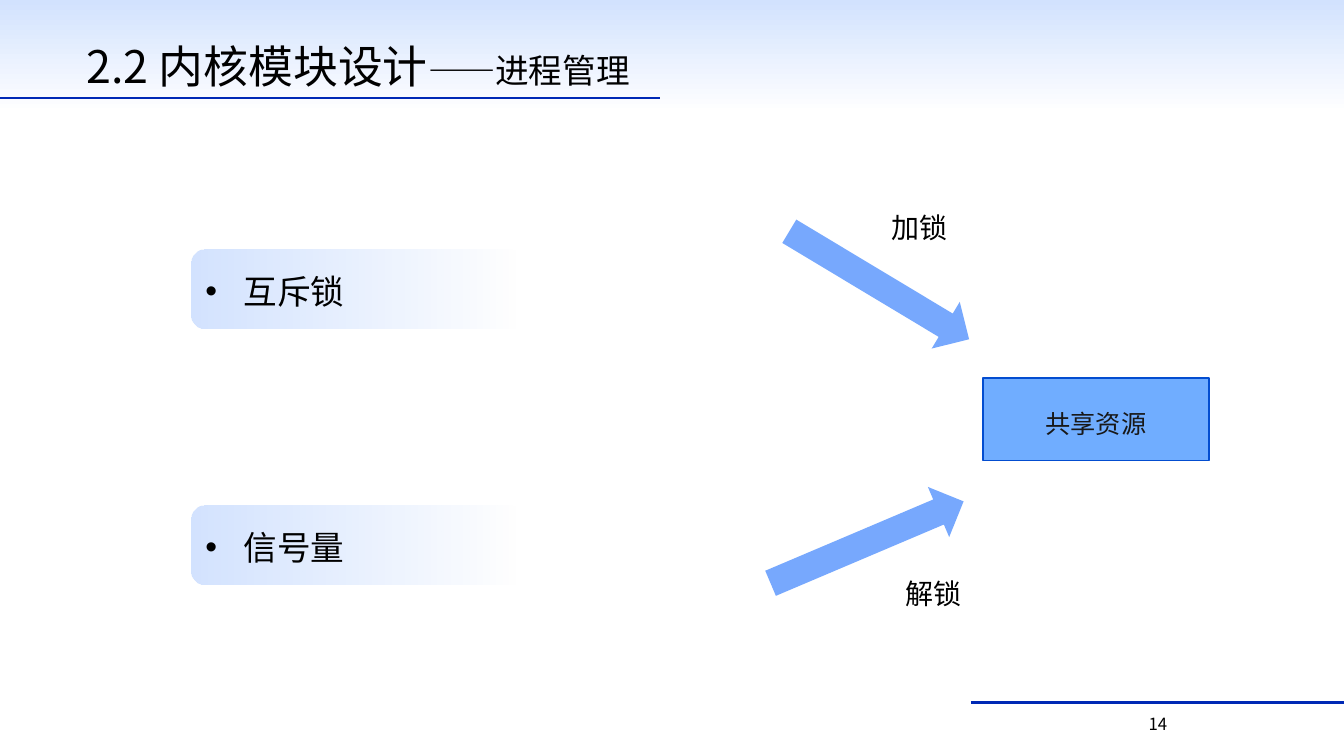
"""Build the kernel module slide on process management."""
from dataclasses import dataclass

from lxml.etree import SubElement
from pptx import Presentation
from pptx.dml.color import RGBColor
from pptx.dml.fill import FillFormat
from pptx.enum.shapes import MSO_CONNECTOR, MSO_SHAPE
from pptx.enum.text import MSO_ANCHOR, PP_ALIGN
from pptx.oxml.ns import qn
from pptx.shapes.autoshape import Shape
from pptx.slide import Slide
from pptx.text.text import _Paragraph
from pptx.util import Inches, Pt

CHINESE_FONT = "Noto Sans CJK SC"
LABEL_FONT = "Noto Sans CJK JP"
RULE_BLUE = "0029B5"


@dataclass(frozen=True)
class Rule:
    left: float
    right: float
    top: float


@dataclass(frozen=True)
class Topic:
    text: str
    top: float


@dataclass(frozen=True)
class Action:
    text: str
    label_left: float
    label_top: float
    arrow_left: float
    arrow_top: float
    rotation: float


RULES = [Rule(9.63, 13.33, 6.97), Rule(0, 6.55, 0.97)]
TOPICS = [Topic("信号量", 5.02), Topic("互斥锁", 2.48)]
ACTIONS = [
    Action("加锁", 8.74, 1.94, 8.45, 1.79, 301),
    Action("解锁", 8.88, 5.57, 8.33, 4.34, 247),
]


def color(value: str) -> RGBColor:
    return RGBColor.from_string(value)


def add_text(para: _Paragraph, text: str, *, size: float, font: str = CHINESE_FONT,
             ink: str = "000000", line_spacing: float = 1.3,
             align: PP_ALIGN = PP_ALIGN.LEFT) -> None:
    para.alignment = align
    para.line_spacing = line_spacing
    span = para.add_run()
    span.text = text
    span.font.size = Pt(size)
    span.font.name = font
    span.font.color.rgb = color(ink)
    SubElement(span.font._element, qn("a:ea")).set("typeface", font)


def add_box(page: Slide, left: float, top: float, width: float, height: float) -> Shape:
    box = page.shapes.add_textbox(Inches(left), Inches(top), Inches(width), Inches(height))
    box.text_frame.word_wrap = True
    return box


def add_plain_shape(page: Slide, kind: MSO_SHAPE, left: float, top: float,
                    width: float, height: float) -> Shape:
    shape = page.shapes.add_shape(kind, Inches(left), Inches(top), Inches(width), Inches(height))
    shape.shadow.inherit = False
    shape.line.fill.background()
    return shape


def set_gradient(fill: FillFormat, stops: list[tuple[float, str]], angle: float) -> None:
    fill.gradient()
    fill.gradient_angle = angle
    for stop, (position, value) in zip(fill.gradient_stops, stops):
        stop.position = position
        stop.color.rgb = color(value)


def add_rule(page: Slide, rule: Rule) -> None:
    line = page.shapes.add_connector(MSO_CONNECTOR.STRAIGHT, Inches(rule.left), Inches(rule.top),
                                     Inches(rule.right), Inches(rule.top))
    line.line.color.rgb = color(RULE_BLUE)
    line.line.width = Pt(1.75)
    SubElement(line._element.spPr, qn("a:effectLst"))


def add_title(page: Slide) -> None:
    box = add_box(page, 0.76, 0.24, 5.8, 0.89)
    box.text_frame.vertical_anchor = MSO_ANCHOR.MIDDLE
    para = box.text_frame.paragraphs[0]
    add_text(para, "2.2 内核模块设计", size=32, line_spacing=0.9)
    add_text(para, "——进程管理", size=24, line_spacing=0.9)


def add_topic(page: Slide, topic: Topic) -> None:
    panel = add_plain_shape(page, MSO_SHAPE.ROUNDED_RECTANGLE, 1.9, topic.top, 3.3, 0.78)
    set_gradient(panel.fill, [(0, "1D6EFC"), (1, "1D6EFC")], 0)
    for value, alpha in zip(panel._element.spPr.iter(qn("a:srgbClr")), (20000, 0)):
        SubElement(value, qn("a:alpha")).set("val", str(alpha))
    panel.text_frame.vertical_anchor = MSO_ANCHOR.TOP
    para = panel.text_frame.paragraphs[0]
    add_text(para, topic.text, size=24)
    properties = para._p.get_or_add_pPr()
    properties.set("marL", str(Inches(0.38)))
    properties.set("indent", str(-Inches(0.38)))
    SubElement(properties, qn("a:buFont")).set("typeface", "Arial")
    SubElement(properties, qn("a:buChar")).set("char", "•")


def add_resource(page: Slide) -> None:
    resource = add_plain_shape(page, MSO_SHAPE.RECTANGLE, 9.75, 3.75, 2.24, 0.82)
    resource.fill.solid()
    resource.fill.fore_color.rgb = color("70ADFF")
    resource.line.color.rgb = color("034DD0")
    resource.line.width = Pt(1)
    resource.text_frame.vertical_anchor = MSO_ANCHOR.MIDDLE
    add_text(resource.text_frame.paragraphs[0], "共享资源", size=18, font="Arial",
             ink="181818", align=PP_ALIGN.CENTER)


def add_action(page: Slide, action: Action) -> None:
    arrow = add_plain_shape(page, MSO_SHAPE.DOWN_ARROW, action.arrow_left, action.arrow_top,
                            0.54, 2.08)
    arrow.rotation = action.rotation
    arrow.fill.solid()
    arrow.fill.fore_color.rgb = color("77A8FD")
    label = add_box(page, action.label_left, action.label_top, 1.77, 0.54)
    add_text(label.text_frame.paragraphs[0], action.text, size=20, font=LABEL_FONT)


def main() -> None:
    deck = Presentation()
    deck.slide_width, deck.slide_height = Inches(13.33), Inches(7.5)
    page = deck.slides.add_slide(deck.slide_layouts[6])
    set_gradient(page.background.fill, [(0.85, "FFFFFF"), (1, "D2E2FE")], 90)
    for rule in RULES:
        add_rule(page, rule)
    add_title(page)
    for topic in TOPICS:
        add_topic(page, topic)
    add_resource(page)
    for action in ACTIONS:
        add_action(page, action)
    number = add_box(page, 9.52, 6.97, 3.93, 0.36)
    add_text(number.text_frame.paragraphs[0], "14", size=12, align=PP_ALIGN.CENTER)
    deck.save("out.pptx")


if __name__ == "__main__":
    main()
